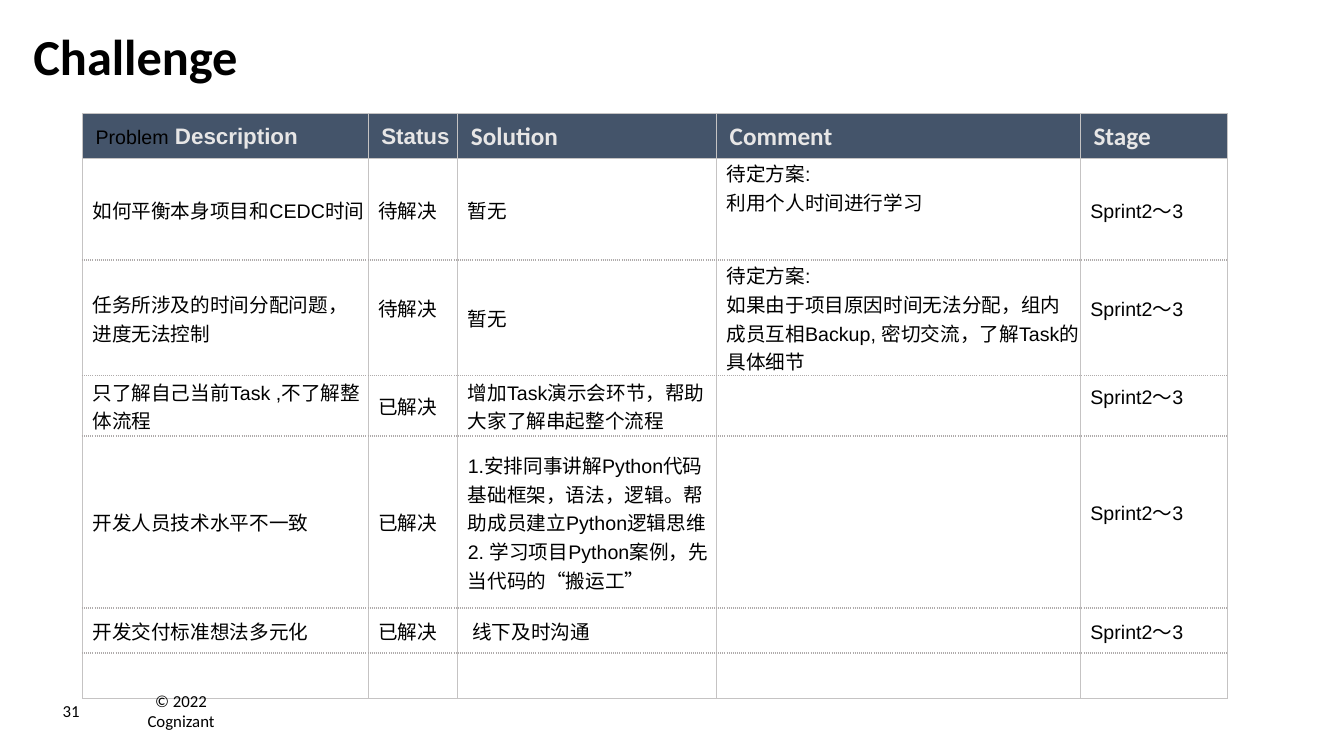
from lxml.etree import SubElement
from pptx import Presentation
from pptx.dml.color import RGBColor
from pptx.enum.text import MSO_ANCHOR as Anchor, MSO_AUTO_SIZE as AutoSize, PP_ALIGN as Align
from pptx.oxml.ns import qn
from pptx.util import Cm, Pt

GRID = ("C5C3C3", 1, "solid")
DOTTED = ("AFABAB", 1.5, "sysDot")
HEADER_FILL = "44546A"

BODY = dict(name="Arial", size=Pt(14), bold=False, color="000000")
ARIAL_HEADER = dict(name="Arial", size=Pt(16), bold=True, color="E7E6E6")
CALIBRI_HEADER = dict(ARIAL_HEADER, name="Calibri", size=Pt(18))
FOOTER = dict(name="Calibri", size=Pt(12), bold=False, color="000000")
TITLE = dict(FOOTER, size=Pt(36), bold=True)

COLUMN_WIDTHS = (7.2, 2.26, 6.52, 9.17, 3.7)
ROW_HEIGHTS = (1.12, 2.57, 2.03, 1.52, 3.4, 1.14, 1.14)
HEADERS = (
    (("Problem", BODY), (" Description", ARIAL_HEADER)),
    (("Status", ARIAL_HEADER),),
    (("Solution", CALIBRI_HEADER),),
    (("Comment", CALIBRI_HEADER),),
    (("Stage", CALIBRI_HEADER),),
)
STAGE = "Sprint2～3"
CHALLENGES = (
    ("如何平衡本身项目和CEDC时间", "待解决", "暂无",
     "待定方案:\n利用个人时间进行学习", STAGE),
    ("任务所涉及的时间分配问题，进度无法控制", "待解决", "暂无",
     "待定方案:\n如果由于项目原因时间无法分配，组内成员互相Backup, 密切交流，了解Task的具体细节", STAGE),
    ("只了解自己当前Task ,不了解整体流程", "已解决",
     "增加Task演示会环节，帮助大家了解串起整个流程", "", STAGE),
    ("开发人员技术水平不一致", "已解决",
     "1.安排同事讲解Python代码基础框架，语法，逻辑。帮助成员建立Python逻辑思维\n"
     "2. 学习项目Python案例，先当代码的“搬运工”", "", STAGE),
    ("开发交付标准想法多元化", "已解决", " 线下及时沟通", "", STAGE),
    ("",) * 5,
)
COMMENT_COLUMN = 3
RAISED_CELLS = {(2, 1), (2, 4), (3, 4), (4, 4)}


def rgb(color):
    return RGBColor.from_string(color)


def format_font(font, values):
    for name, value in values.items():
        if name == "color":
            font.color.rgb = rgb(value)
        else:
            setattr(font, name, value)


def add_run(paragraph, text, values):
    run = paragraph.add_run()
    run.text = text
    format_font(run.font, values)


def write_lines(frame, text, values):
    for index, line in enumerate(text.split("\n")):
        paragraph = frame.add_paragraph() if index else frame.paragraphs[0]
        add_run(paragraph, line, values)


def set_borders(cell, top, bottom):
    properties = cell._tc.get_or_add_tcPr()
    for side, border in (("L", GRID), ("R", GRID), ("T", top), ("B", bottom)):
        color, width, dash = border
        line = SubElement(properties, qn(f"a:ln{side}"), w=str(Pt(width)))
        fill = SubElement(line, qn("a:solidFill"))
        SubElement(fill, qn("a:srgbClr"), val=color)
        SubElement(line, qn("a:prstDash"), val=dash)


def format_cell(cell, row, left):
    last = len(ROW_HEIGHTS) - 1
    set_borders(cell, DOTTED if row > 1 else GRID, DOTTED if 0 < row < last else GRID)
    margins = dict(margin_left=Cm(left), margin_top=Cm(0.02), margin_right=Cm(0.02),
                   margin_bottom=Cm(0), vertical_anchor=Anchor.MIDDLE)
    for name, value in margins.items():
        setattr(cell, name, value)


def fill_header(table):
    for column, runs in enumerate(HEADERS):
        cell = table.cell(0, column)
        format_cell(cell, 0, 0.33)
        cell.fill.solid()
        cell.fill.fore_color.rgb = rgb(HEADER_FILL)
        for text, values in runs:
            add_run(cell.text_frame.paragraphs[0], text, values)


def fill_body(table):
    for row, texts in enumerate(CHALLENGES, 1):
        for column, text in enumerate(texts):
            cell = table.cell(row, column)
            format_cell(cell, row, 0.25)
            cell.fill.background()
            if column == COMMENT_COLUMN:
                cell.vertical_anchor = Anchor.TOP
            if (row, column) in RAISED_CELLS:
                cell.margin_bottom = Cm(0.5)
            if text:
                write_lines(cell.text_frame, text, BODY)


def add_challenge_table(slide):
    frame = slide.shapes.add_table(
        len(ROW_HEIGHTS), len(COLUMN_WIDTHS), Cm(2.08), Cm(2.87),
        Cm(sum(COLUMN_WIDTHS)), Cm(sum(ROW_HEIGHTS)))
    table = frame.table
    table.first_row = table.horz_banding = False
    for column, width in zip(table.columns, COLUMN_WIDTHS):
        column.width = Cm(width)
    for row, height in zip(table.rows, ROW_HEIGHTS):
        row.height = Cm(height)
    fill_header(table)
    fill_body(table)


def add_footer(slide, text, left, width, alignment):
    box = slide.shapes.add_textbox(Cm(left), Cm(17.4), Cm(width), Cm(1.02))
    frame = box.text_frame
    frame.word_wrap = True
    frame.vertical_anchor = Anchor.MIDDLE
    frame.paragraphs[0].alignment = alignment
    write_lines(frame, text, FOOTER)


def set_title(slide, text):
    title = slide.shapes.title
    place = dict(left=Cm(0.84), top=Cm(0.64), width=Cm(30.02), height=Cm(0.86))
    for name, value in place.items():
        setattr(title, name, value)
    frame = title.text_frame
    layout = dict(margin_left=0, margin_top=0, margin_right=0, margin_bottom=0,
                  vertical_anchor=Anchor.TOP, auto_size=AutoSize.NONE, word_wrap=True)
    for name, value in layout.items():
        setattr(frame, name, value)
    frame.paragraphs[0].alignment = Align.LEFT
    write_lines(frame, text, TITLE)


def main():
    presentation = Presentation()
    presentation.slide_width = Cm(33.87)
    presentation.slide_height = Cm(19.05)
    slide = presentation.slides.add_slide(presentation.slide_layouts[5])
    set_title(slide, "Challenge")
    add_challenge_table(slide)
    add_footer(slide, "© 2022 Cognizant", 2.9, 3.33, Align.CENTER)
    add_footer(slide, "31", 1.27, 0.99, Align.RIGHT)
    presentation.save("out.pptx")


if __name__ == "__main__":
    main()
